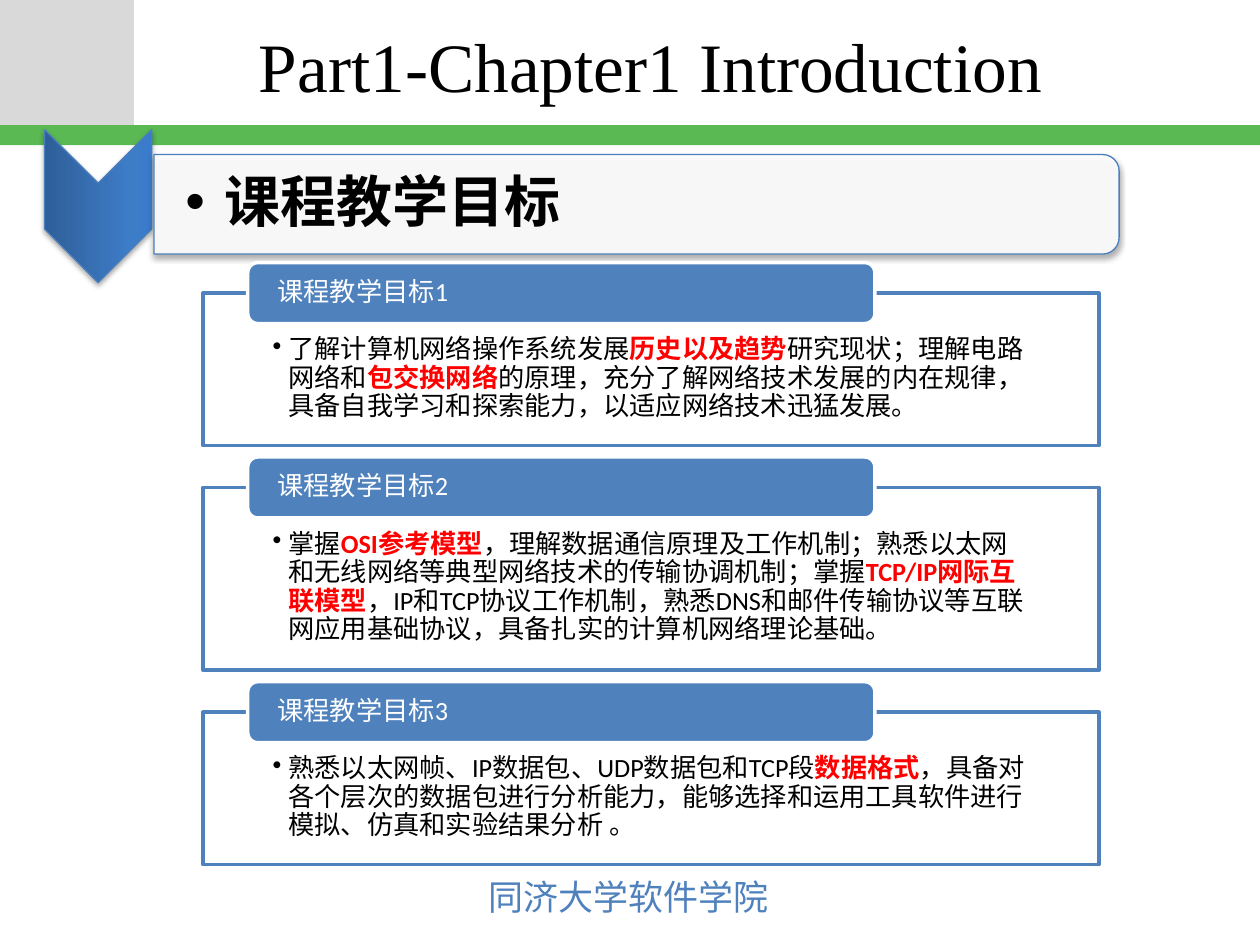
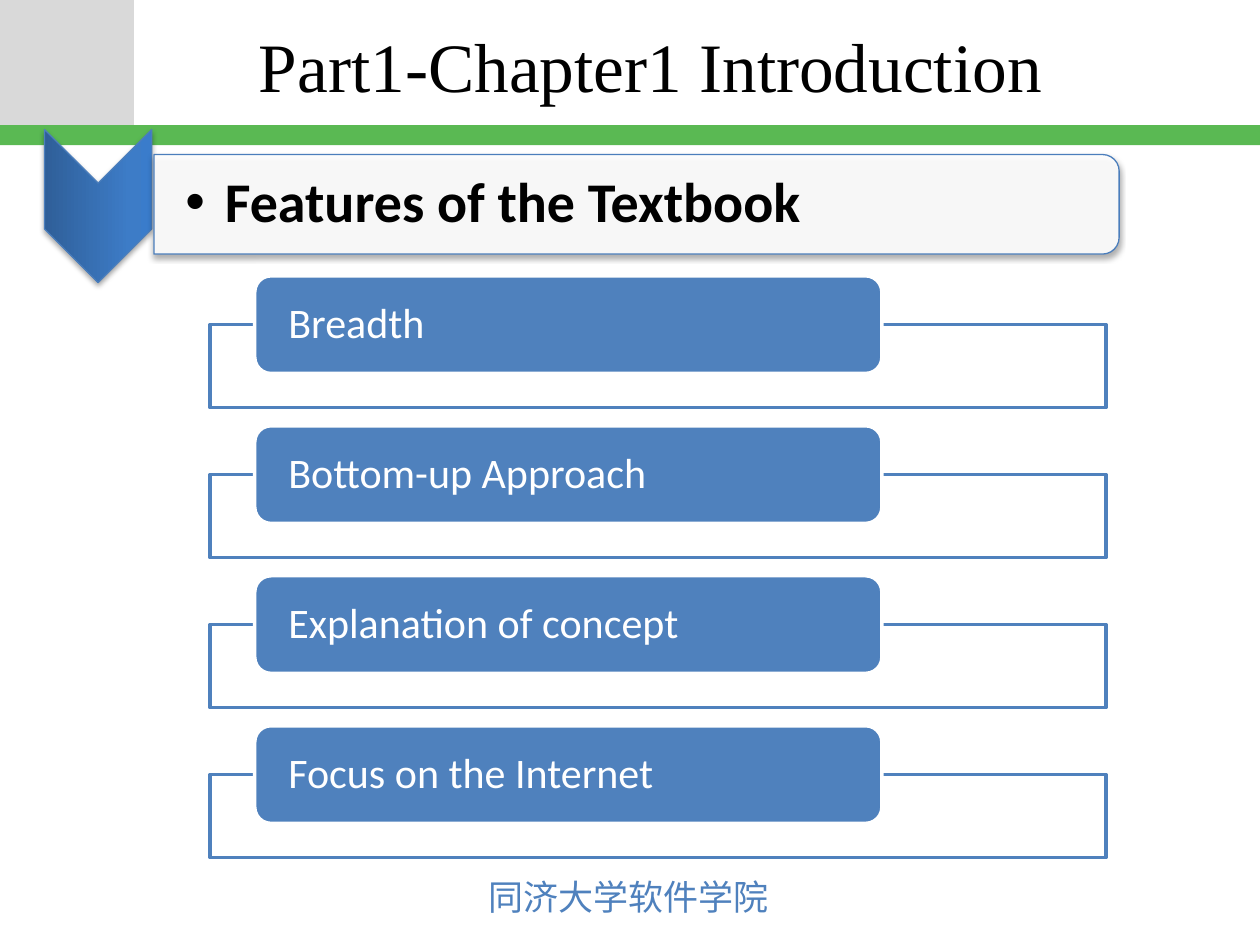
from dataclasses import dataclass
from typing import Any

import pptx
import pptx.dml.color
import pptx.enum.shapes
import pptx.enum.text
import pptx.oxml.ns
import pptx.util
from lxml import etree

Pt = pptx.util.Pt
qn = pptx.oxml.ns.qn
SHAPE = pptx.enum.shapes.MSO_SHAPE
ANCHOR = pptx.enum.text.MSO_ANCHOR
ALIGN = pptx.enum.text.PP_ALIGN
AUTO_SIZE = pptx.enum.text.MSO_AUTO_SIZE

COLORS = {
    "white": "FFFFFF",
    "black": "000000",
    "red": "FF0000",
    "gray": "D9D9D9",
    "green": "5AB953",
    "blue": "4F81BD",
    "edge": "4B7EBC",
}
CHEVRON_STOPS = [(0, "2F5F99"), (80, "3D7CC7"), (100, "3A7CCB")]
TITLE = "Part1-Chapter1 Introduction"
SCHOOL = "同济大学软件学院"
BODY_FONT = "Calibri"


@dataclass
class Box:
    left: float
    top: float
    width: float
    height: float

    def lengths(self) -> list[int]:
        return [Pt(v) for v in (self.left, self.top, self.width, self.height)]


@dataclass
class Item:
    """A labelled frame; words between asterisks in the detail are stressed."""
    label: str
    frame_height: float
    detail: str = ""


@dataclass
class ItemStyle:
    left: float
    top: float
    gap: float
    label_height: float
    label_inset: float
    size: float


@dataclass
class Page:
    heading: str
    style: ItemStyle
    items: list[Item]


FRAME_WIDTH = 512
GOAL_STYLE = ItemStyle(left=116, top=167.5, gap=24, label_height=34.87, label_inset=15.2, size=15)
FEATURE_STYLE = ItemStyle(left=120, top=185.5, gap=38.2, label_height=55.8, label_inset=16.5, size=24)
FEATURES = ["Breadth", "Bottom-up Approach", "Explanation of concept", "Focus on the Internet"]

PAGES = [
    Page("课程教学目标", GOAL_STYLE, [
        Item("课程教学目标1", 87.1,
             "了解计算机网络操作系统发展*历史以及趋势*研究现状；理解电路网络和*包交换网络*"
             "的原理，充分了解网络技术发展的内在规律，具备自我学习和探索能力，以适应网络技术迅猛发展。"),
        Item("课程教学目标2", 104.4,
             "掌握*OSI参考模型*，理解数据通信原理及工作机制；熟悉以太网和无线网络等典型网络技术的"
             "传输协调机制；掌握*TCP/IP网际互联模型*，IP和TCP协议工作机制，熟悉DNS和邮件传输协议等"
             "互联网应用基础协议，具备扎实的计算机网络理论基础。"),
        Item("课程教学目标3", 87.1,
             "熟悉以太网帧、IP数据包、UDP数据包和TCP段*数据格式*，具备对各个层次的数据包进行分析能力，"
             "能够选择和运用工具软件进行模拟、仿真和实验结果分析 。"),
    ]),
    Page("Features of the Textbook", FEATURE_STYLE, [Item(name, 47.5) for name in FEATURES]),
]


# Basic helpers
def rgb(name: str) -> Any:
    return pptx.dml.color.RGBColor.from_string(COLORS[name])


def add_box(s: Any, kind: Any, box: Box, fill: str, line: str = "", weight: float = 0,
            opacity: int = 100) -> Any:
    sp = s.shapes.add_shape(kind, *box.lengths())
    sp.shadow.inherit = False
    sp.fill.solid()
    sp.fill.fore_color.rgb = rgb(fill)
    if opacity < 100:
        color = sp.element.spPr.find(qn("a:solidFill"))[0]
        etree.SubElement(color, qn("a:alpha"), val=str(opacity * 1000))
    if line:
        sp.line.color.rgb = rgb(line)
        sp.line.width = Pt(weight)
    else:
        sp.line.fill.background()
    return sp


def add_shadow(sp: Any) -> None:
    effects = sp.element.spPr.find(qn("a:effectLst"))
    shadow = etree.SubElement(effects, qn("a:outerShdw"), blurRad=str(Pt(3.1)), dist=str(Pt(1.8)),
                              dir="5400000", rotWithShape="0")
    color = etree.SubElement(shadow, qn("a:srgbClr"), val=COLORS["black"])
    etree.SubElement(color, qn("a:alpha"), val="35000")


def set_frame(tf: Any, anchor: Any, left: float, top: float, right: float, bottom: float) -> None:
    tf.word_wrap = True
    tf.auto_size = AUTO_SIZE.NONE
    tf.vertical_anchor = anchor
    tf.margin_left, tf.margin_top = Pt(left), Pt(top)
    tf.margin_right, tf.margin_bottom = Pt(right), Pt(bottom)


def set_paragraph(p: Any, indent: float = 0) -> None:
    p.alignment = ALIGN.LEFT
    p.line_spacing = 0.9
    p.space_before = Pt(0)
    if indent:
        pPr = p._p.get_or_add_pPr()
        pPr.set("marL", str(Pt(indent)))
        pPr.set("indent", str(-Pt(indent)))
        etree.SubElement(pPr, qn("a:buChar"), char="•")


def add_run(p: Any, text: str, size: float, color: str, bold: bool = False,
            font: str = BODY_FONT) -> Any:
    r = p.add_run()
    r.text = text
    r.font.size = Pt(size)
    r.font.name = font
    r.font.bold = bold
    r.font.color.rgb = rgb(color)
    return r


def place(sp: Any, box: Box) -> None:
    sp.left, sp.top, sp.width, sp.height = box.lengths()


# Parts shared by the slides
def draw_template(s: Any) -> None:
    add_box(s, SHAPE.RECTANGLE, Box(0, 0, 76.5, 71.5), "gray")
    add_box(s, SHAPE.RECTANGLE, Box(0, 71.5, 720, 11.5), "green")

    title = s.shapes.title
    place(title, Box(125.3, 1.5, 493, 70.5))
    set_frame(title.text_frame, ANCHOR.MIDDLE, 7.2, 3.6, 7.2, 3.6)
    p = title.text_frame.paragraphs[0]
    p.alignment = ALIGN.CENTER
    add_run(p, TITLE, 39.6, "black", font="Times New Roman")

    footer = s.shapes.add_textbox(*Box(272, 497, 176.4, 31.5).lengths())
    footer.text_frame.word_wrap = False
    font = "Noto Sans CJK JP"
    r = add_run(footer.text_frame.paragraphs[0], SCHOOL, 20, "blue", font=font)
    etree.SubElement(r.font._element, qn("a:ea"), typeface=font)


def draw_heading(s: Any, text: str) -> None:
    chevron = add_box(s, SHAPE.CHEVRON, Box(12.3, 87.2, 87.5, 61.2), "blue", "edge", 0.75)
    chevron.rotation = 90
    chevron.fill.gradient()
    chevron.fill.gradient_angle = 90
    stops = chevron.element.spPr.find(qn("a:gradFill")).find(qn("a:gsLst"))
    for stop in list(stops):
        stops.remove(stop)
    for percent, color in CHEVRON_STOPS:
        stop = etree.SubElement(stops, qn("a:gs"), pos=str(percent * 1000))
        etree.SubElement(stop, qn("a:srgbClr"), val=color)
    add_shadow(chevron)

    band = add_box(s, SHAPE.ROUND_2_SAME_RECTANGLE, Box(335.3, -159, 56.9, 551.5),
                   "white", "edge", 0.75, opacity=90)
    band.rotation = 90
    add_shadow(band)

    # The body placeholder goes in front of its band
    body = s.placeholders[1]
    place(body, Box(88, 91.4, 549, 51.3))
    body.element.getparent().append(body.element)
    set_frame(body.text_frame, ANCHOR.MIDDLE, 18, 1.5, 1.5, 1.5)
    p = body.text_frame.paragraphs[0]
    set_paragraph(p, indent=22.5)
    add_run(p, text, 32, "black", bold=True)


# Labelled frames
def draw_item(s: Any, item: Item, style: ItemStyle, top: float) -> None:
    frame = add_box(s, SHAPE.RECTANGLE, Box(style.left, top, FRAME_WIDTH, item.frame_height),
                    "white", "blue", 2, opacity=90)
    if item.detail:
        set_frame(frame.text_frame, ANCHOR.TOP, 39.8, 24.6, 39.8, 8.4)
        p = frame.text_frame.paragraphs[0]
        set_paragraph(p, indent=9)
        for i, part in enumerate(item.detail.split("*")):
            stressed = i % 2 == 1
            add_run(p, part, style.size, "red" if stressed else "black", bold=stressed)

    # The label is centred on the top edge of its frame
    label_box = Box(style.left + 0.05 * FRAME_WIDTH, top - style.label_height / 2,
                    0.7 * FRAME_WIDTH, style.label_height)
    label = add_box(s, SHAPE.ROUNDED_RECTANGLE, label_box, "blue", "white", 2)
    set_frame(label.text_frame, ANCHOR.MIDDLE, style.label_inset, 0, style.label_inset, 0)
    p = label.text_frame.paragraphs[0]
    set_paragraph(p)
    add_run(p, item.label, style.size, "white")


def main() -> None:
    prs = pptx.Presentation()
    prs.slide_width, prs.slide_height = Pt(720), Pt(540)
    for page in PAGES:
        s = prs.slides.add_slide(prs.slide_layouts[1])
        draw_template(s)
        draw_heading(s, page.heading)
        top = page.style.top
        for item in page.items:
            draw_item(s, item, page.style, top)
            top += item.frame_height + page.style.gap
    prs.save("out.pptx")


if __name__ == "__main__":
    main()
